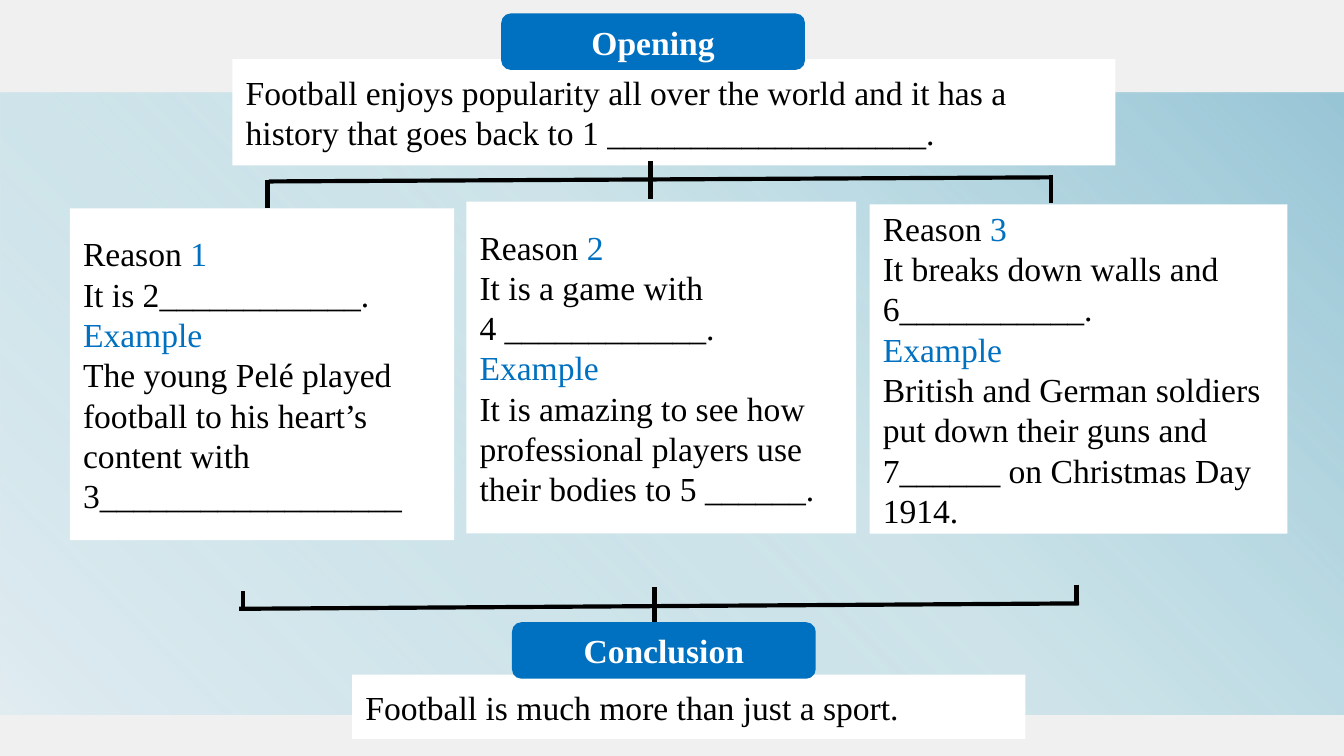
import pptx
import pptx.util
import pptx.dml.color
import pptx.enum.shapes
import pptx.enum.text
import pptx.oxml
import pptx.oxml.ns
import lxml.etree

Inches = pptx.util.Inches
Shape = pptx.enum.shapes.MSO_SHAPE
Align = pptx.enum.text.PP_ALIGN
BLUE, BLACK, WHITE = "0070C0", "000000", "FFFFFF"
GLOW = (
    '<a:gradFill xmlns:a="http://schemas.openxmlformats.org/drawingml/2006/main" rotWithShape="1">'
    '<a:gsLst><a:gs pos="0"><a:srgbClr val="98C5D6"/></a:gs>'
    '<a:gs pos="46000"><a:srgbClr val="A9D7E2"><a:alpha val="48000"/></a:srgbClr></a:gs>'
    '<a:gs pos="100000"><a:srgbClr val="E1ECF1"/></a:gs></a:gsLst>'
    '<a:path path="circle"><a:fillToRect l="100000" b="100000"/></a:path></a:gradFill>'
)


def tint(code):
    return pptx.dml.color.RGBColor.from_string(code)


class Board:
    """Holds the text style and the current slide, and draws each kind of element."""

    def __init__(self, slide, font="Times New Roman", size=18, width=2.25):
        self.slide, self.font = slide, font
        self.size, self.width = pptx.util.Pt(size), pptx.util.Pt(width)

    def ground(self, color):
        fill = self.slide.background.fill
        fill.solid()
        fill.fore_color.rgb = tint(color)

    def shape(self, kind, area, color):
        shape = self.slide.shapes.add_shape(kind, *map(Inches, area))
        shape.shadow.inherit = False
        shape.fill.solid()
        shape.fill.fore_color.rgb = tint(color)
        shape.line.fill.background()
        return shape

    def band(self, area):
        shape = self.shape(Shape.RECTANGLE, area, WHITE)
        props = shape.element.spPr
        solid = props.find(pptx.oxml.ns.qn("a:solidFill"))
        props.replace(solid, pptx.oxml.parse_xml(GLOW))

    def style(self, run, color, bold=False):
        run.font.name, run.font.size = self.font, self.size
        run.font.bold = bold
        run.font.color.rgb = tint(color)

    def label(self, area, text):
        frame = self.shape(Shape.ROUNDED_RECTANGLE, area, BLUE).text_frame
        frame.text = text
        frame.vertical_anchor = pptx.enum.text.MSO_ANCHOR.MIDDLE
        frame.paragraphs[0].alignment = Align.CENTER
        self.style(frame.paragraphs[0].runs[0], WHITE, True)

    def panel(self, area, lines):
        frame = self.shape(Shape.RECTANGLE, area, WHITE).text_frame
        frame.word_wrap = True
        frame.vertical_anchor = pptx.enum.text.MSO_ANCHOR.MIDDLE
        for row, line in enumerate(lines):
            para = frame.add_paragraph() if row else frame.paragraphs[0]
            para.alignment = Align.LEFT
            for part, color in zip(line.split("|"), (BLACK, BLUE)):
                if part:
                    run = para.add_run()
                    run.text = part
                    self.style(run, color)

    def line(self, *ends):
        line = self.slide.shapes.add_connector(
            pptx.enum.shapes.MSO_CONNECTOR.STRAIGHT, *map(Inches, ends))
        line.line.color.rgb = tint(BLACK)
        line.line.width = self.width
        lxml.etree.SubElement(line.element.spPr, pptx.oxml.ns.qn("a:effectLst"))


REASONS = [
    ((6.47, 1.52, 3.11, 2.45), [
        "Reason |3", "It breaks down walls and", "6___________.", "|Example",
        "British and German soldiers", "put down their guns and",
        "7______ on Christmas Day 1914."]),
    ((0.52, 1.55, 2.86, 2.47), [
        "Reason| 1", "It is 2____________.", "|Example",
        "The young Pelé played football to his heart’s content with",
        "3__________________"]),
    ((3.47, 1.5, 2.9, 2.47), [
        "Reason |2", "It is a game with", "4 ____________.", "|Example",
        "It is amazing to see how professional players use their bodies to 5 ______."]),
]
FORK = [(2, 1.35, 7.81, 1.32), (4.84, 1.2, 4.84, 1.48), (1.99, 1.34, 1.99, 1.55)]
JOIN = [(1.78, 4.53, 8.03, 4.49), (4.87, 4.37, 4.87, 4.66),
        (1.81, 4.4, 1.81, 4.54), (8.01, 4.35, 8.01, 4.5)]


def main():
    deck = pptx.Presentation()
    deck.slide_width, deck.slide_height = Inches(10), Inches(10 * 9 / 16)
    board = Board(deck.slides.add_slide(deck.slide_layouts[6]))
    board.ground("F0F0F0")
    board.band((0, 0.69, 10, 4.63))
    board.panel((1.73, 0.44, 6.57, 0.79), [
        "Football enjoys popularity all over the world and it has a",
        "history that goes back to 1 ___________________."])
    board.label((3.73, 0.1, 2.26, 0.42), "Opening")
    for ends in FORK:
        board.line(*ends)
    for area, lines in REASONS:
        board.panel(area, lines)
    for ends in JOIN:
        board.line(*ends)
    board.panel((2.62, 5.02, 5.01, 0.48), ["Football is much more than just a sport."])
    board.label((3.81, 4.63, 2.26, 0.42), "Conclusion")
    board.line(7.82, 1.3, 7.82, 1.51)
    deck.save("out.pptx")


if __name__ == "__main__":
    main()
